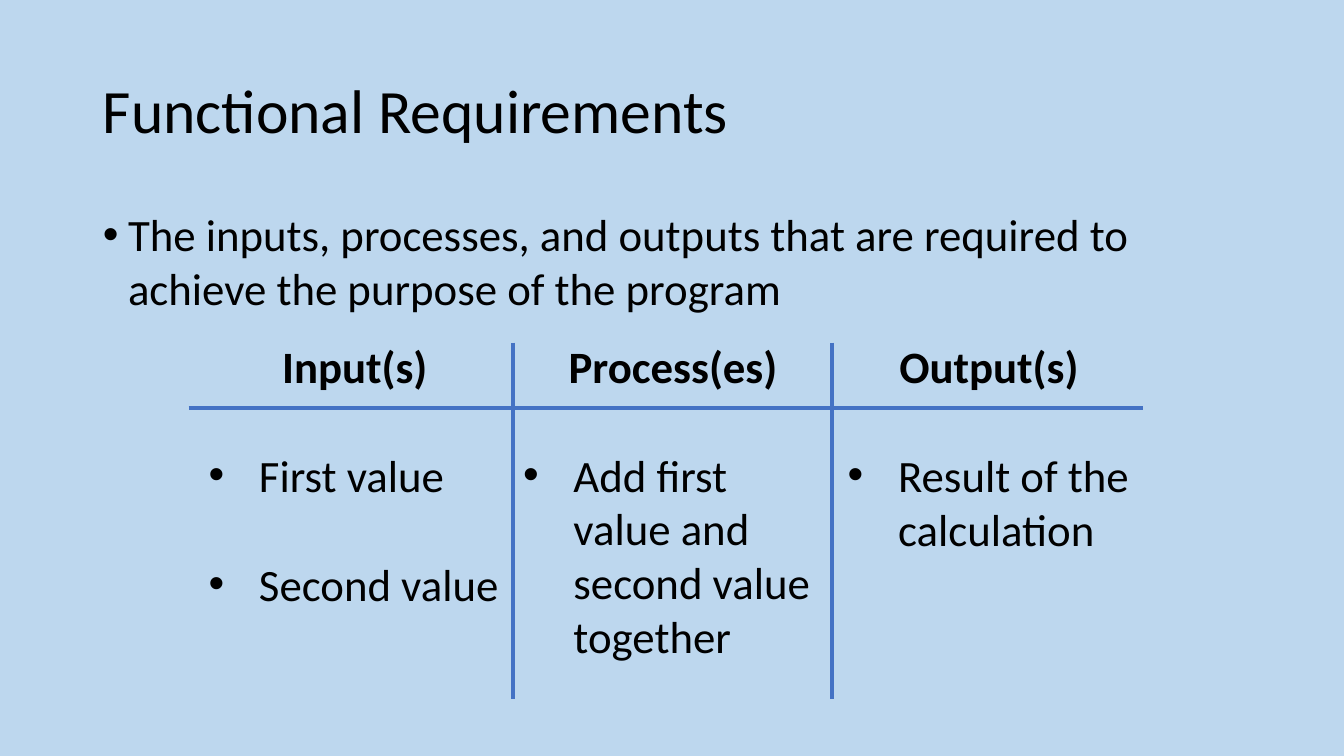
import pptx
import pptx.dml.color
import pptx.enum.shapes
import pptx.enum.text
import pptx.oxml.ns
import pptx.util
from lxml import etree

ALIGN = pptx.enum.text.PP_ALIGN
ANCHOR = pptx.enum.text.MSO_ANCHOR
AUTO_SIZE = pptx.enum.text.MSO_AUTO_SIZE


def color(hex_text):
    return pptx.dml.color.RGBColor.from_string(hex_text)


def add_element(parent, tag, **attributes):
    return etree.SubElement(parent, pptx.oxml.ns.qn(tag), **attributes)


class RequirementsPage:
    """Holds the style and the page; lengths are on a grid of 100 columns by 100 rows."""

    FONT, TEXT, RULE, BACKGROUND = "Calibri", "000000", "4472C4", "BDD7EE"
    TITLE_SIZE, BODY_SIZE = 44, 32

    def __init__(self, deck):
        self.column = deck.slide_width / 100
        self.row = deck.slide_height / 100
        self.page = deck.slides.add_slide(deck.slide_layouts[1])
        fill = self.page.background.fill
        fill.solid()
        fill.fore_color.rgb = color(self.BACKGROUND)

    def place(self, left, top, width, height):
        return (round(left * self.column), round(top * self.row),
                round(width * self.column), round(height * self.row))

    def set_text(self, frame, text, size=BODY_SIZE, bold=False, align=ALIGN.LEFT, indent=0):
        para = frame.paragraphs[0]
        para.text = text
        para.alignment = align
        para.space_before = pptx.util.Pt(0)
        if indent:
            properties = para._p.get_or_add_pPr()
            hang = pptx.util.Inches(indent)
            properties.set("marL", str(hang))
            properties.set("indent", str(-hang))
            add_element(properties, "a:buFont", typeface="Arial")
            add_element(properties, "a:buChar", char="•")
        para.font.name = self.FONT
        para.font.size = pptx.util.Pt(size)
        para.font.bold = bold
        para.font.color.rgb = color(self.TEXT)
        return para

    def fill_placeholder(self, index, area, anchor, text, **style):
        box = self.page.placeholders[index]
        box.left, box.top, box.width, box.height = self.place(*area)
        frame = box.text_frame
        frame.auto_size = AUTO_SIZE.NONE
        frame.vertical_anchor = anchor
        return self.set_text(frame, text, **style)

    def add_text(self, area, text, wrap=False, **style):
        frame = self.page.shapes.add_textbox(*self.place(*area)).text_frame
        frame.word_wrap = wrap
        frame.auto_size = AUTO_SIZE.SHAPE_TO_FIT_TEXT
        self.set_text(frame, text, **style)

    def add_rule(self, left, top, right, bottom):
        rule = self.page.shapes.add_connector(
            pptx.enum.shapes.MSO_CONNECTOR.STRAIGHT, *self.place(left, top, right, bottom))
        rule.line.color.rgb = color(self.RULE)
        rule.line.width = pptx.util.Pt(3)
        add_element(rule._element.spPr, "a:effectLst")


def main():
    deck = pptx.Presentation()
    deck.slide_width = pptx.util.Inches(13.33)
    deck.slide_height = pptx.util.Inches(7.5)
    page = RequirementsPage(deck)

    # Title and definition
    title = page.fill_placeholder(0, (6.9, 5.33, 86.25, 19.33), ANCHOR.MIDDLE,
                                  "Functional Requirements", size=page.TITLE_SIZE)
    title.line_spacing = 0.9
    definition = page.fill_placeholder(
        1, (6.9, 26.67, 86.25, 63.47), ANCHOR.TOP,
        "The inputs, processes, and outputs that are required to "
        "achieve the purpose of the program", indent=0.25)
    definition.space_after = pptx.util.Pt(12)

    # Rules between the columns and under the headings
    page.add_rule(14.03, 54, 85.07, 54)
    for divider in (38.18, 61.89):
        page.add_rule(divider, 45.33, divider, 92.4)

    # Column headings
    for left, width, heading in ((20.18, 12.45, "Input(s)"),
                                 (41.49, 17.18, "Process(es)"),
                                 (66.09, 15, "Output(s)")):
        page.add_text((left, 44.13, width, 8.53), heading, bold=True, align=ALIGN.CENTER)

    # Column entries
    for left, top, width, height, wrap, entry in (
            (14.78, 58.53, 19.2, 8.53, False, "First value"),
            (14.78, 72.93, 23.33, 8.53, False, "Second value"),
            (38.18, 58.53, 23.63, 30.13, True, "Add first value and second value together"),
            (62.34, 58.53, 22.73, 15.73, True, "Result of the calculation")):
        page.add_text((left, top, width, height), entry, wrap=wrap, indent=0.5)

    deck.save("out.pptx")


if __name__ == "__main__":
    main()
